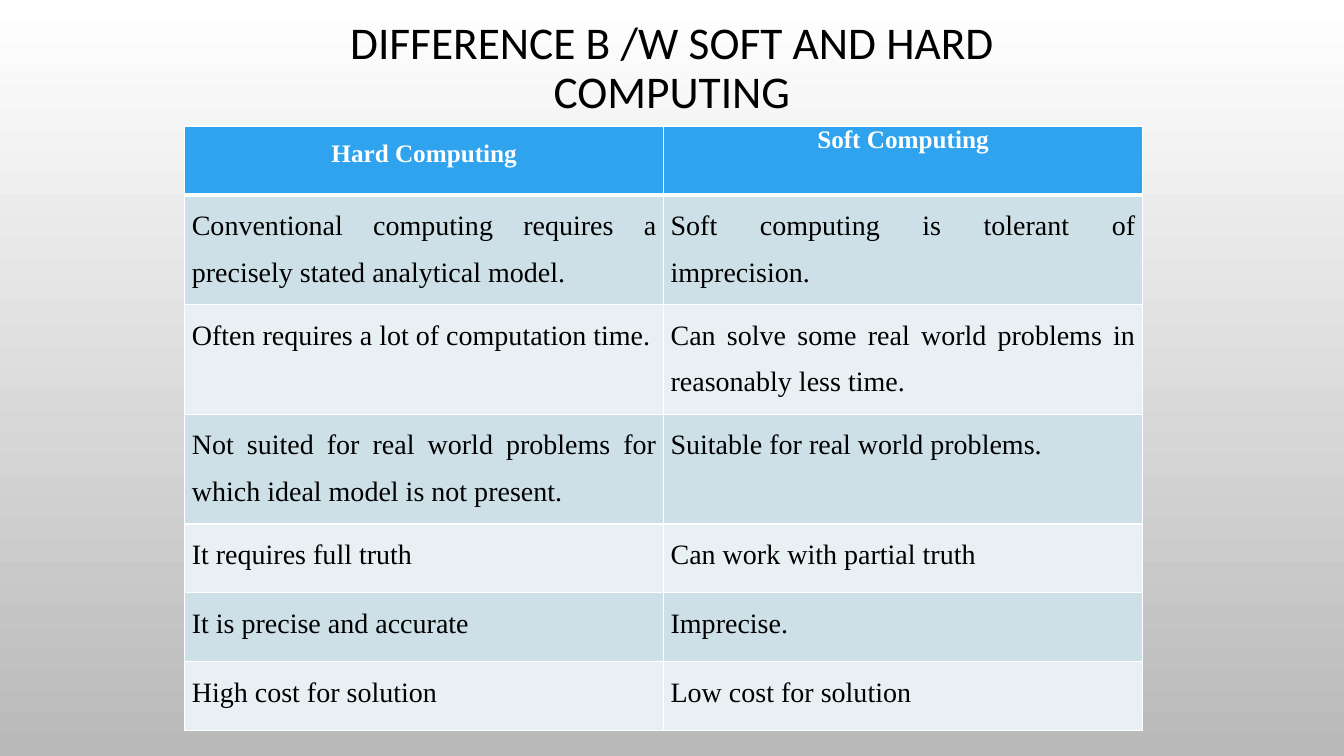
"""Build a slide that compares hard and soft computing in a two-column table."""
from dataclasses import dataclass

from lxml import etree
from pptx import Presentation
from pptx.dml.color import RGBColor
from pptx.enum.text import MSO_ANCHOR, PP_ALIGN
from pptx.oxml.ns import qn
from pptx.util import Pt

CENTER, JUSTIFY = PP_ALIGN.CENTER, PP_ALIGN.JUSTIFY
MIDDLE = MSO_ANCHOR.MIDDLE


@dataclass(frozen=True)
class Theme:
    text: str = "000000"
    light: str = "FFFFFF"
    background_end: str = "B9B9B9"
    header: str = "2FA3EE"
    bands: tuple = ("CDE0E8", "E8F0F4")
    title_font: str = "Calibri"
    table_font: str = "Times New Roman"
    title_size: float = 32.4
    header_size: float = 18
    body_size: float = 20


def style_font(paragraph, name, size, color, bold=False):
    font = paragraph.font
    font.name, font.size, font.bold = name, Pt(size), bold
    font.color.rgb = RGBColor.from_string(color)


def add_border(cell, side, width, color):
    line = etree.SubElement(cell._tc.get_or_add_tcPr(), qn(f"a:ln{side}"), w=str(Pt(width)))
    fill = etree.SubElement(line, qn("a:solidFill"))
    etree.SubElement(fill, qn("a:srgbClr"), val=color)


theme = Theme()
presentation = Presentation()
presentation.slide_width, presentation.slide_height = Pt(960), Pt(540)
slide = presentation.slides.add_slide(presentation.slide_layouts[6])

background = slide.background.fill
background.gradient()
background.gradient_angle = 270
for stop, position, color in zip(background.gradient_stops, (0, 1), (theme.light, theme.background_end)):
    stop.position = position
    stop.color.rgb = RGBColor.from_string(color)

rows = [
    ("Hard Computing", "Soft Computing"),
    ("Conventional computing requires a precisely stated analytical model.",
     "Soft computing is tolerant of imprecision."),
    ("Often requires a lot of computation time.",
     "Can solve some real world problems in reasonably less time."),
    ("Not suited for real world problems for which ideal model is not present.",
     "Suitable for real world problems."),
    ("It requires full truth", "Can work with partial truth"),
    ("It is precise and accurate", "Imprecise."),
    ("High cost for solution", "Low cost for solution"),
]
short_row, tall_row = 49.2, 78.4
tall_rows = (1, 2, 3)
table = slide.shapes.add_table(len(rows), 2, Pt(132), Pt(90), Pt(684), Pt(432)).table

for row_index, texts in enumerate(rows):
    is_header = row_index == 0
    table.rows[row_index].height = Pt(tall_row if row_index in tall_rows else short_row)
    for column_index, text in enumerate(texts):
        cell = table.cell(row_index, column_index)
        cell.margin_left = cell.margin_right = Pt(5)
        cell.margin_top = cell.margin_bottom = 0
        top_width = 3 if row_index == 1 else 1
        bottom_width = 3 if is_header else 1
        for side, width in (("L", 1), ("R", 1), ("T", top_width), ("B", bottom_width)):
            add_border(cell, side, width, theme.light)
        cell.fill.solid()
        fill_color = theme.header if is_header else theme.bands[(row_index - 1) % 2]
        cell.fill.fore_color.rgb = RGBColor.from_string(fill_color)
        cell.text = text
        paragraph = cell.text_frame.paragraphs[0]
        paragraph.alignment = CENTER if is_header else JUSTIFY
        paragraph.line_spacing = 1.0 if is_header and column_index == 1 else 1.5
        if is_header:
            style_font(paragraph, theme.table_font, theme.header_size, theme.light, bold=True)
        else:
            style_font(paragraph, theme.table_font, theme.body_size, theme.text)

title = slide.shapes.add_textbox(Pt(156), Pt(18), Pt(648), Pt(63)).text_frame
title.word_wrap = True
title.vertical_anchor = MIDDLE
title.margin_left = title.margin_right = Pt(14)
title.text = "DIFFERENCE B /W SOFT AND HARD COMPUTING"
paragraph = title.paragraphs[0]
paragraph.alignment = CENTER
paragraph.line_spacing = 0.9
style_font(paragraph, theme.title_font, theme.title_size, theme.text)

presentation.save("out.pptx")
